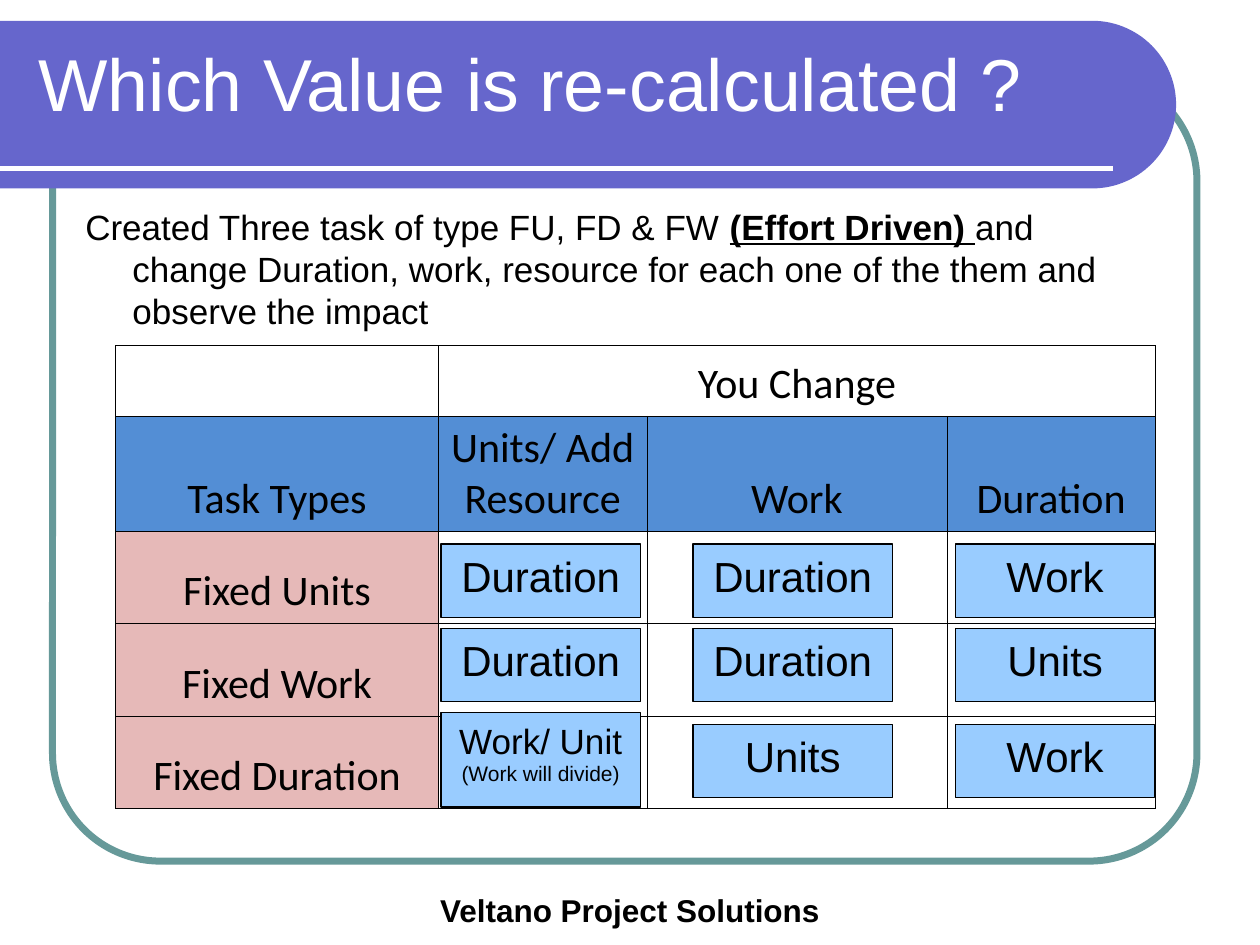
import math

from lxml import etree
from pptx import Presentation
from pptx.dml.color import RGBColor
from pptx.enum.shapes import MSO_CONNECTOR, MSO_SHAPE
from pptx.enum.text import MSO_ANCHOR, PP_ALIGN
from pptx.oxml.ns import qn
from pptx.util import Cm, Pt

LEFT, CENTER = PP_ALIGN.LEFT, PP_ALIGN.CENTER
TOP, BOTTOM = MSO_ANCHOR.TOP, MSO_ANCHOR.BOTTOM
RECTANGLE, ROUNDED = MSO_SHAPE.RECTANGLE, MSO_SHAPE.ROUNDED_RECTANGLE
STRAIGHT = MSO_CONNECTOR.STRAIGHT

BLACK = RGBColor(0x00, 0x00, 0x00)
WHITE = RGBColor(0xFF, 0xFF, 0xFF)
TEAL = RGBColor(0x66, 0x99, 0x99)
VIOLET = RGBColor(0x66, 0x66, 0xCC)
HEADER_BLUE = RGBColor(0x53, 0x8E, 0xD5)
ROW_PINK = RGBColor(0xE6, 0xB9, 0xB8)
ANSWER_BLUE = RGBColor(0x99, 0xCC, 0xFF)


def write(frame, *paragraphs, font="Arial", size=24, color=BLACK, bold=False,
          align=LEFT, anchor=TOP):
    """Fill a text frame; a paragraph is a string or a list of (text, changes)."""
    frame.word_wrap = True
    frame.vertical_anchor = anchor
    for index, content in enumerate(paragraphs):
        para = frame.add_paragraph() if index else frame.paragraphs[0]
        para.alignment = align
        spans = [(content, {})] if isinstance(content, str) else content
        for text, changes in spans:
            span = para.add_run()
            span.text = text
            span.font.name = font
            span.font.size = Pt(changes.get("size", size))
            span.font.bold = changes.get("bold", bold)
            span.font.underline = changes.get("underline", False)
            span.font.color.rgb = color


def border(cell):
    """Draw a hairline on the four sides of a table cell."""
    properties = cell._tc.get_or_add_tcPr()
    for side in ("a:lnL", "a:lnR", "a:lnT", "a:lnB"):
        line = etree.SubElement(properties, qn(side), w=str(Pt(0.23)))
        fill = etree.SubElement(line, qn("a:solidFill"))
        etree.SubElement(fill, qn("a:srgbClr"), val=str(BLACK))


deck = Presentation()
deck.slide_width, deck.slide_height = Cm(25.4), Cm(19.05)
page = deck.slides.add_slide(deck.slide_layouts[6])
shapes = page.shapes

# Rounded frame
frame = shapes.add_shape(ROUNDED, Cm(1.06), Cm(1.48), Cm(23.07), Cm(15.88))
frame.adjustments[0] = 0.137
frame.shadow.inherit = False
frame.fill.background()
frame.line.color.rgb = TEAL
frame.line.width = Pt(4)

# Title banner with a half-round right end
banner_top, radius, straight_end = 0.42, 1.69, 22.02
outline = shapes.build_freeform(0, Cm(banner_top))
arc = [(Cm(straight_end + radius * math.cos(math.radians(angle))),
        Cm(banner_top + radius + radius * math.sin(math.radians(angle))))
       for angle in range(-90, 91, 3)]
outline.add_line_segments(arc + [(0, Cm(banner_top + 2 * radius))], close=True)
banner = outline.convert_to_shape()
banner.shadow.inherit = False
banner.fill.solid()
banner.fill.fore_color.rgb = VIOLET
banner.line.fill.background()

rule = shapes.add_connector(STRAIGHT, 0, Cm(3.39), Cm(22.43), Cm(3.39))
rule.line.color.rgb = WHITE
rule.line.width = Pt(3)
etree.SubElement(rule._element.spPr, qn("a:effectLst"))

# Title and introduction
title = shapes.add_textbox(Cm(0.53), Cm(0.64), Cm(22.28), Cm(2.54))
write(title.text_frame, "Which Value is re-calculated ?", size=42, color=WHITE)

intro = shapes.add_textbox(Cm(1.47), Cm(4.02), Cm(22.02), Cm(12.27))
write(intro.text_frame, [
    ("Created Three task of type FU, FD & FW ", {}),
    ("(Effort Driven) ", {"bold": True, "underline": True}),
    ("and change Duration, work, resource for each one of the them "
     "and observe the impact", {}),
], size=20)
para = intro.text_frame.paragraphs[0]
para.space_before = Pt(5)
indent = para._p.get_or_add_pPr()
indent.set("marL", str(Cm(0.95)))
indent.set("indent", str(-Cm(0.95)))

# Table of task types
rows = [
    ["", "You Change", "", ""],
    ["Task Types", "Units/ Add Resource", "Work", "Duration"],
    ["Fixed Units", "", "", ""],
    ["Fixed Work", "", "", ""],
    ["Fixed Duration", "", "", ""],
]
widths = [6.51, 4.2, 6.05, 4.2]
heights = [1.43, 2.32, 1.86, 1.86, 1.86]
table = shapes.add_table(len(rows), len(widths), Cm(2.33), Cm(6.96),
                         Cm(sum(widths)), Cm(sum(heights))).table
table.first_row = table.horz_banding = False
for column, width in zip(table.columns, widths):
    column.width = Cm(width)
for row, height in zip(table.rows, heights):
    row.height = Cm(height)
table.cell(0, 1).merge(table.cell(0, 3))

for r, texts in enumerate(rows):
    for c, text in enumerate(texts):
        cell = table.cell(r, c)
        border(cell)
        if r == 1 or (r > 1 and c == 0):
            cell.fill.solid()
            cell.fill.fore_color.rgb = HEADER_BLUE if r == 1 else ROW_PINK
        else:
            cell.fill.background()
        if text:
            cell.margin_left = cell.margin_right = Cm(0.03)
            cell.vertical_anchor = BOTTOM
            write(cell.text_frame, text, font="Calibri", align=CENTER, anchor=BOTTOM)

# Recalculated values laid over the table
work_or_unit = [[("Work/ Unit", {"size": 20})], [("(Work will divide)", {"size": 12})]]
answers = [
    [["Duration"], ["Duration"], ["Work"]],
    [["Duration"], ["Duration"], ["Units"]],
    [work_or_unit, ["Units"], ["Work"]],
]
for top, line in zip([10.97, 12.67, 14.6], answers):
    for left, lines in zip([8.89, 13.97, 19.26], line):
        tall = len(lines) > 1
        box = shapes.add_shape(RECTANGLE, Cm(left), Cm(14.37 if tall else top),
                               Cm(4.02), Cm(1.9 if tall else 1.48))
        box.shadow.inherit = False
        box.fill.solid()
        box.fill.fore_color.rgb = ANSWER_BLUE
        box.line.color.rgb = BLACK
        box.line.width = Pt(0.75)
        write(box.text_frame, *lines, align=CENTER)

# Footer
footer = shapes.add_textbox(Cm(7.41), Cm(17.57), Cm(10.58), Cm(1.27))
write(footer.text_frame, "Veltano Project Solutions", size=18, bold=True,
      align=CENTER, anchor=BOTTOM)

deck.save("out.pptx")
